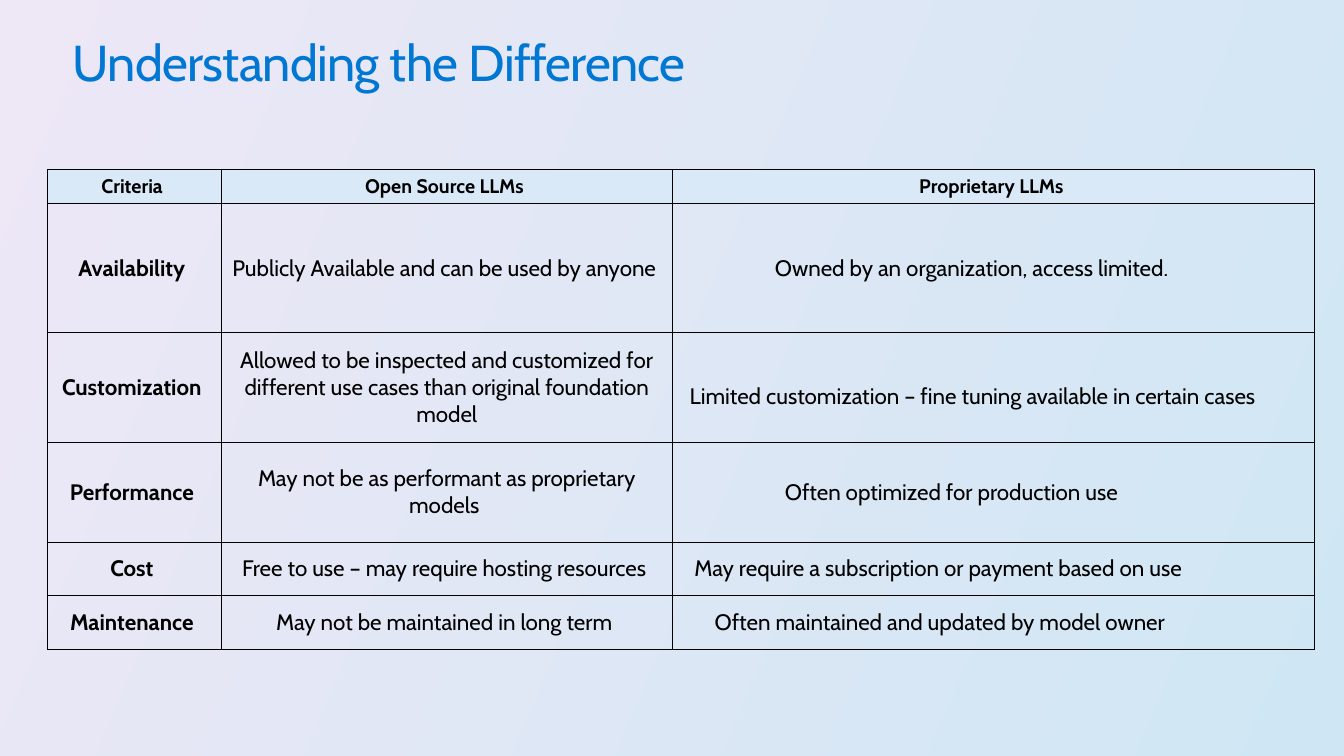
from lxml.etree import SubElement
from pptx import Presentation
from pptx.dml.color import RGBColor
from pptx.enum.text import MSO_ANCHOR as Anchor, PP_ALIGN as Align
from pptx.oxml.ns import qn
from pptx.util import Cm, Pt

FONT = "Cabin"
BLACK = "000000"
HEADER_FILL = "DAE9F7"
GRADIENT_ANGLE = 337
COLUMN_WIDTHS = [4.37, 11.38, 16.18]
ROW_HEIGHTS = [0.86, 3.25, 2.77, 2.51, 1.35, 1.35]
HEADINGS = ["Criteria ", "Open Source LLMs ", "Proprietary LLMs "]
CRITERIA = [
    ("Availability ", "Publicly Available and can be used by anyone ",
     "Owned by an organization, access limited.", 2.53),
    ("Customization ",
     "Allowed to be inspected and customized for different use cases "
     "than original foundation model",
     "Limited customization – fine tuning available in certain cases", 0.38),
    ("Performance ", "May not be as performant as proprietary models ",
     "Often optimized for production use", 2.78),
    ("Cost ", "Free to use – may require hosting resources ",
     "May require a subscription or payment based on use", 0.5),
    ("Maintenance ", "May not be maintained in long term ",
     "Often maintained and updated by model owner", 1.01),
]


def color(value):
    return RGBColor.from_string(value)


def fill_gradient(fill, *stops):
    fill.gradient()
    fill.gradient_angle = GRADIENT_ANGLE
    for stop, value in zip(fill.gradient_stops, stops):
        stop.color.rgb = color(value)


def write(frame, text, size=16, bold=False, align=Align.CENTER, indent=0,
          value=BLACK):
    para = frame.paragraphs[0]
    para.alignment = align
    if indent:
        properties = para._p.get_or_add_pPr()
        properties.set("marL", str(Cm(indent)))
        properties.set("indent", "0")
    span = para.add_run()
    span.text = text
    span.font.name = FONT
    span.font.size = Pt(size)
    span.font.bold = bold
    span.font.color.rgb = color(value)
    return span


def draw_borders(cell):
    properties = cell._tc.get_or_add_tcPr()
    for side in ("lnL", "lnR", "lnT", "lnB"):
        line = SubElement(properties, qn(f"a:{side}"), w=str(Pt(0.75)))
        solid = SubElement(line, qn("a:solidFill"))
        SubElement(solid, qn("a:srgbClr"), val=BLACK)


def fill_cell(cell, text, fill=None, **text_format):
    draw_borders(cell)
    if fill:
        cell.fill.solid()
        cell.fill.fore_color.rgb = color(fill)
    else:
        cell.fill.background()
    cell.vertical_anchor = Anchor.MIDDLE
    cell.margin_left = cell.margin_right = Cm(0.05)
    cell.margin_top = cell.margin_bottom = Cm(0.03)
    write(cell.text_frame, text, **text_format)


def add_title(slide, text):
    title = slide.shapes.title
    title.left, title.top = Cm(1.63), Cm(0.58)
    title.width, title.height = Cm(30.61), Cm(1.55)
    frame = title.text_frame
    frame.word_wrap = True
    frame.vertical_anchor = Anchor.TOP
    frame.margin_left = frame.margin_top = Cm(0.2)
    frame.margin_right = frame.margin_bottom = Cm(0)
    span = write(frame, text, size=36, align=Align.LEFT)
    fill_gradient(span.font.fill, "0078D3", "BE58C8")
    span.font._element.set("spc", "-50")


def add_comparison(slide):
    table = slide.shapes.add_table(
        len(ROW_HEIGHTS), len(COLUMN_WIDTHS), Cm(1.2), Cm(4.27),
        Cm(sum(COLUMN_WIDTHS)), Cm(sum(ROW_HEIGHTS))).table
    table.first_row = table.horz_banding = False
    for column, width in zip(table.columns, COLUMN_WIDTHS):
        column.width = Cm(width)
    for row, height in zip(table.rows, ROW_HEIGHTS):
        row.height = Cm(height)
    for index, heading in enumerate(HEADINGS):
        fill_cell(table.cell(0, index), heading, fill=HEADER_FILL,
                  size=14, bold=True)
    for index, (name, open_source, proprietary, indent) in enumerate(CRITERIA, 1):
        fill_cell(table.cell(index, 0), name, bold=True)
        fill_cell(table.cell(index, 1), open_source)
        fill_cell(table.cell(index, 2), proprietary, align=Align.LEFT,
                  indent=indent)
    table.cell(2, 2).margin_top = Cm(0.48)


def main():
    """Build the slide that compares open source and proprietary LLMs."""
    deck = Presentation()
    deck.slide_width, deck.slide_height = Cm(33.87), Cm(19.05)
    page = deck.slides.add_slide(deck.slide_layouts[5])
    fill_gradient(page.background.fill, "EEE7F6", "CFE7F4")
    add_title(page, "Understanding the Difference")
    add_comparison(page)
    deck.save("out.pptx")


if __name__ == "__main__":
    main()
